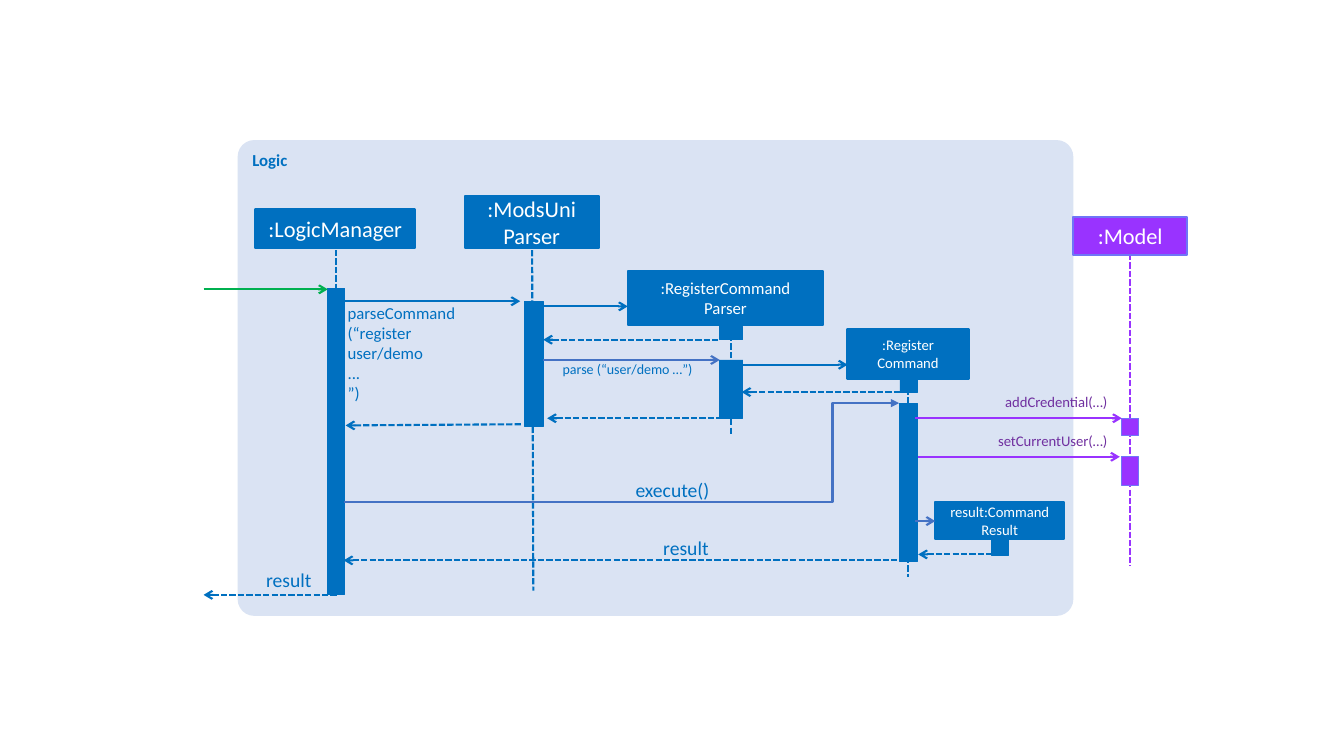
from copy import deepcopy

from pptx import Presentation
from pptx.dml.color import RGBColor
from pptx.enum.dml import MSO_LINE
from pptx.enum.shapes import MSO_CONNECTOR, MSO_SHAPE
from pptx.enum.text import MSO_ANCHOR, PP_ALIGN
from pptx.oxml.ns import qn
from pptx.util import Cm, Pt

BLUE, MESSAGE, GREEN = "0070C0", "4472C4", "00B050"
VIOLET, VIOLET_EDGE, VIOLET_TEXT = "9933FF", "6F75F7", "7030A0"
WHITE, PANEL = "FFFFFF", "DAE3F3"


def rgb(value):
    return RGBColor.from_string(value)


def write(tf, text, size=12, color=BLUE, bold=False, align=PP_ALIGN.LEFT, font="Calibri"):
    """Each newline starts a paragraph; a vertical tab breaks the line."""
    tf.word_wrap = True
    for i, line in enumerate(text.split("\n")):
        p = tf.add_paragraph() if i else tf.paragraphs[0]
        p.text = line
        p.alignment = align
        for r in p.runs:
            r.font.name = font
            r.font.size = Pt(size)
            r.font.bold = bold
            r.font.color.rgb = rgb(color)
        for br in p._p.findall(qn("a:br")):
            br.append(deepcopy(p.runs[0]._r.rPr))


class SequenceDiagram:
    def __init__(self, slide, line_width=1.5):
        self.s = slide
        self.line_width = line_width

    def rect(self, x, y, w, h, fill=BLUE, edge=None, width=0.5, kind=MSO_SHAPE.RECTANGLE):
        sp = self.s.shapes.add_shape(kind, Cm(x), Cm(y), Cm(w), Cm(h))
        sp.shadow.inherit = False
        sp.fill.solid()
        sp.fill.fore_color.rgb = rgb(fill)
        if edge:
            sp.line.color.rgb = rgb(edge)
            sp.line.width = Pt(width)
        else:
            sp.line.fill.background()
        return sp

    def panel(self, text, x, y, w, h):
        sp = self.rect(x, y, w, h, PANEL, kind=MSO_SHAPE.ROUNDED_RECTANGLE)
        sp.adjustments[0] = 0.035
        sp.text_frame.vertical_anchor = MSO_ANCHOR.TOP
        write(sp.text_frame, text, bold=True)

    def participant(self, text, x, y, w, h, size=16, fill=BLUE, edge=BLUE):
        sp = self.rect(x, y, w, h, fill, edge, self.line_width)
        sp.text_frame.vertical_anchor = MSO_ANCHOR.MIDDLE
        write(sp.text_frame, text, size, WHITE, align=PP_ALIGN.CENTER)

    def label(self, text, x, y, w, h, size, color=BLUE, align=PP_ALIGN.RIGHT):
        tf = self.s.shapes.add_textbox(Cm(x), Cm(y), Cm(w), Cm(h)).text_frame
        tf.margin_left = tf.margin_right = tf.margin_top = tf.margin_bottom = 0
        write(tf, text, size, color, align=align)

    def line(self, x1, y1, x2, y2, color=BLUE, dashed=False, end=None,
             arrow="arrow", kind=MSO_CONNECTOR.STRAIGHT):
        c = self.s.shapes.add_connector(kind, Cm(x1), Cm(y1), Cm(x2), Cm(y2))
        c.line.color.rgb = rgb(color)
        c.line.width = Pt(self.line_width)
        if dashed:
            c.line.dash_style = MSO_LINE.SQUARE_DOT
        if end:
            ln = c.line._get_or_add_ln()
            ln.append(ln.makeelement(qn(f"a:{end}"), {"type": arrow}))
        spPr = c._element.spPr
        spPr.append(spPr.makeelement(qn("a:effectLst"), {}))
        return c

    def call(self, x1, x2, y, color=BLUE):
        self.line(x1, y, x2, y, color, end="tailEnd")

    def reply(self, x1, x2, y1, y2=None):
        self.line(x1, y1, x2, y2 or y1, dashed=True, end="headEnd")

    def elbow(self, x1, y1, x2, y2, bend):
        c = self.line(x1, y1, x2, y2, MESSAGE, end="tailEnd", arrow="triangle",
                      kind=MSO_CONNECTOR.ELBOW)
        av = c._element.spPr.find(qn("a:prstGeom")).get_or_add_avLst()
        av.append(av.makeelement(qn("a:gd"), {"name": "adj1", "fmla": f"val {round(bend * 100000)}"}))


def main():
    prs = Presentation()
    prs.slide_width, prs.slide_height = Cm(33.87), Cm(19.05)
    d = SequenceDiagram(prs.slides.add_slide(prs.slide_layouts[6]))

    d.panel("Logic", 5.99, 3.53, 21.06, 11.99)

    # Lifelines
    for x1, y1, x2, y2, color in [
        (8.46, 6.3, 8.46, 13.51, BLUE),
        (13.41, 6.3, 13.44, 14.88, BLUE),
        (18.42, 8.23, 18.42, 10.97, BLUE),
        (22.89, 9.37, 22.89, 14.55, BLUE),
        (28.47, 6.4, 28.47, 14.27, VIOLET),
    ]:
        d.line(x1, y1, x2, y2, color, dashed=True)

    # Participants
    d.participant(":LogicManager", 6.43, 5.28, 4.04, 0.97)
    d.participant(":ModsUni\vParser", 11.71, 4.95, 3.38, 1.3)
    d.participant(":RegisterCommand\nParser", 15.82, 6.83, 4.93, 1.37, size=12)
    d.participant(":Register\nCommand", 21.36, 8.28, 3.05, 1.27, size=10.5)
    d.participant("result:Command Result", 23.57, 12.65, 3.25, 0.94, size=10.5)
    d.participant(":Model", 27.05, 5.46, 2.87, 0.97, fill=VIOLET, edge=VIOLET_EDGE)

    # Activation bars
    for bar in [
        (8.26, 7.26, 0.43, 7.72),
        (13.21, 7.59, 0.48, 3.15),
        (18.14, 8.23, 0.58, 0.33),
        (18.14, 9.07, 0.58, 1.47),
        (22.68, 9.37, 0.43, 0.53),
        (22.66, 10.16, 0.46, 3.99),
        (24.99, 13.51, 0.43, 0.48),
    ]:
        d.rect(*bar, edge=BLUE)
    for y, h in [(10.54, 0.43), (11.51, 0.71)]:
        d.rect(28.27, y, 0.43, h, VIOLET, VIOLET_EDGE)

    # Calls
    for x1, x2, y, color in [
        (5.13, 8.26, 7.29, GREEN),
        (8.66, 13.11, 7.59, BLUE),
        (13.56, 15.82, 7.72, BLUE),
        (13.69, 18.14, 9.07, MESSAGE),
        (18.54, 21.36, 9.19, BLUE),
        (23.06, 28.27, 10.54, VIOLET),
        (23.14, 28.22, 11.51, VIOLET),
        (23.06, 23.57, 13.13, MESSAGE),
    ]:
        d.call(x1, x2, y, color)
    d.elbow(8.66, 12.65, 22.66, 10.16, bend=0.88)

    # Replies
    for reply in [
        (13.69, 18.14, 8.56),
        (18.69, 22.83, 9.88),
        (13.79, 18.44, 10.54),
        (8.71, 13.16, 10.72, 10.69),
        (8.66, 22.71, 14.12),
        (23.14, 24.99, 13.97),
        (5.13, 8.53, 14.99),
    ]:
        d.reply(*reply)

    # Message labels
    d.label("parseCommand\n(“register\vuser/demo\v...\n”)", 8.76, 7.62, 3.96, 2.57, 12,
            align=PP_ALIGN.LEFT)
    d.label("parse (“user/demo …”)", 13.49, 9.09, 3.96, 0.43, 10)
    d.label("addCredential(…)", 23.95, 9.91, 3.96, 0.46, 10.5, VIOLET_TEXT)
    d.label("setCurrentUser(…)", 23.95, 10.87, 3.96, 0.46, 10.5, VIOLET_TEXT)
    d.label("execute()", 15.49, 12.04, 2.39, 0.61, 14)
    d.label("result", 16.13, 13.51, 1.73, 0.61, 14)
    d.label("result", 5.74, 14.3, 2.11, 0.61, 14)

    prs.save("out.pptx")


if __name__ == "__main__":
    main()
